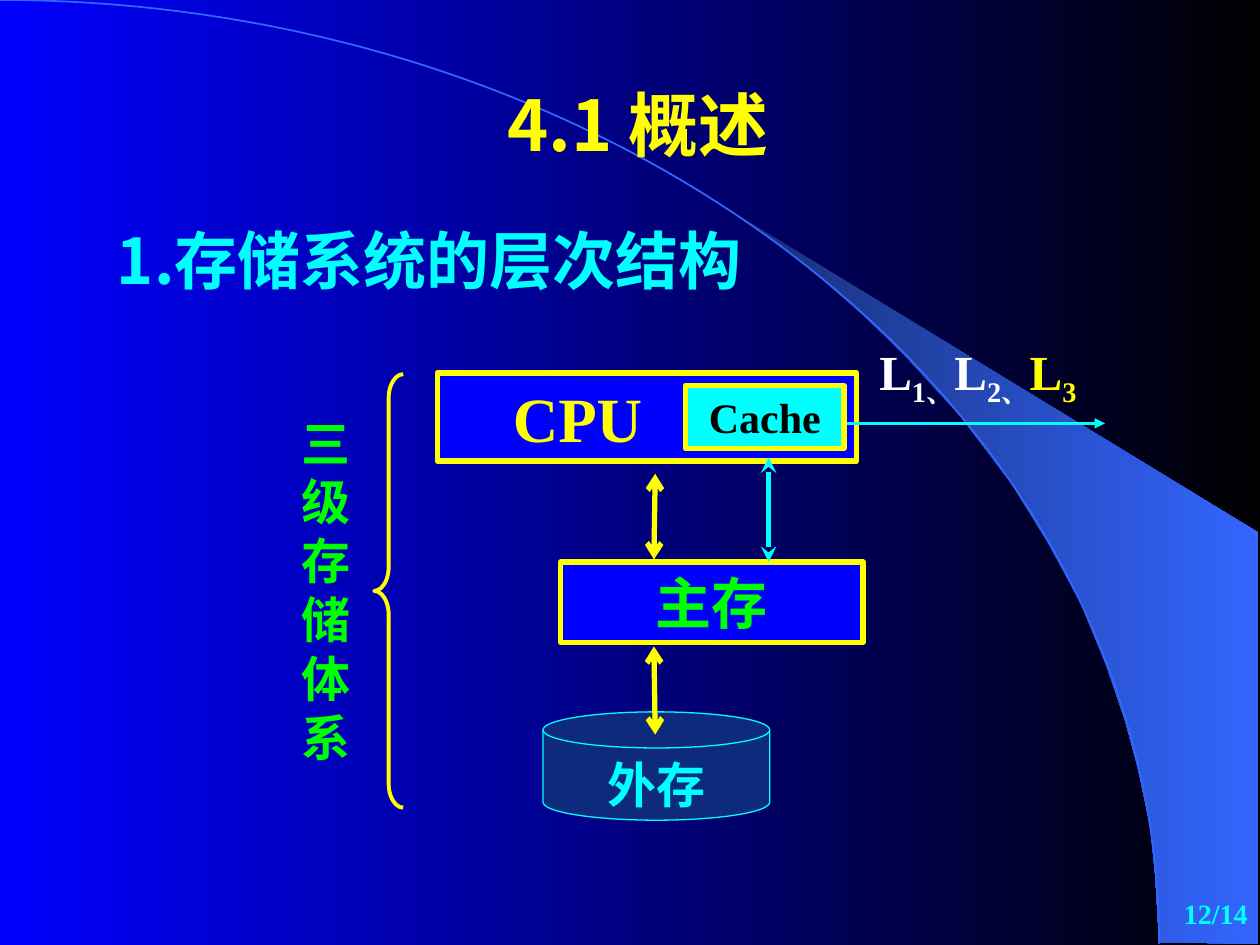
from dataclasses import dataclass
from math import cos, pi, sin

from lxml.etree import SubElement as Sub
from pptx import Presentation
from pptx.dml.color import RGBColor
from pptx.enum.shapes import MSO_CONNECTOR as Link, MSO_SHAPE as Kind
from pptx.enum.text import MSO_ANCHOR as Anchor, MSO_AUTO_SIZE as Auto, PP_ALIGN as Align
from pptx.oxml.ns import qn
from pptx.util import Emu, Pt

COLS, ROWS = 100, 75
CELL = 91440
SANS, SERIF = "Noto Sans CJK SC", "Times New Roman"
BLUE, CYAN, YELLOW, GREEN = "0000FF", "00FFFF", "FFFF00", "00FF00"
WHITE, BLACK, SKY = "FFFFFF", "000000", "3366FF"


@dataclass
class Label:
    area: tuple
    text: str
    size: int
    color: str
    font: str = SANS
    align: Align = Align.CENTER


@dataclass
class Block:
    kind: Kind
    fill: str
    line: str
    width: float
    label: Label
    indent: float = 1
    wrap: bool = True


@dataclass
class Arrow:
    start: tuple
    end: tuple
    color: str
    width: float
    head: str
    tail: str


def grid(*vals: float) -> list:
    return [Emu(round(v * CELL)) for v in vals]


def rgb(code: str) -> RGBColor:
    return RGBColor.from_string(code)


def blend(fill, first: str, last: str) -> None:
    fill.gradient()
    fill.gradient_angle = 0
    for stop, code in zip(fill.gradient_stops, (first, last)):
        stop.color.rgb = rgb(code)


def edge(shape, code: str, width: float) -> None:
    shape.line.color.rgb = rgb(code)
    shape.line.width = Pt(width)


def write(para, text: str, *, size: int, color: str, font: str = SANS, base: int = 0) -> None:
    run = para.add_run()
    run.text = text
    face = run.font
    face.size, face.bold, face.name = Pt(size), True, font
    face.color.rgb = rgb(color)
    props = run._r.get_or_add_rPr()
    Sub(props, qn("a:ea")).set("typeface", font)
    if base:
        props.set("baseline", str(base * 1000))


def frame(shape, align: Align, *, wrap: bool = True, anchor: Anchor = Anchor.TOP, grow: bool = True):
    body = shape.text_frame
    body.word_wrap = wrap
    body.auto_size = Auto.SHAPE_TO_FIT_TEXT if grow else Auto.NONE
    body.vertical_anchor = anchor
    para = body.paragraphs[0]
    para.alignment = align
    return para


def put(shapes, label: Label, **opts) -> None:
    box = shapes.add_textbox(*grid(*label.area))
    para = frame(box, label.align, **opts)
    write(para, label.text, size=label.size, color=label.color, font=label.font)


def build(shapes, block: Block) -> None:
    label = block.label
    shape = shapes.add_shape(block.kind, *grid(*label.area))
    shape.shadow.inherit = False
    shape.fill.solid()
    shape.fill.fore_color.rgb = rgb(block.fill)
    edge(shape, block.line, block.width)
    para = frame(shape, label.align, wrap=block.wrap, grow=block.wrap)
    shape.text_frame.margin_left = grid(block.indent)[0]
    write(para, label.text, size=label.size, color=label.color, font=label.font)


def join(shapes, arrow: Arrow) -> None:
    line = shapes.add_connector(Link.STRAIGHT, *grid(*arrow.start, *arrow.end))
    edge(line, arrow.color, arrow.width)
    stroke = line.line._get_or_add_ln()
    for tag, tip in (("a:headEnd", arrow.head), ("a:tailEnd", arrow.tail)):
        Sub(stroke, qn(tag)).set("type", tip)
    Sub(line._element.spPr, qn("a:effectLst"))


def trace(shapes, points: list, close: bool):
    first, *rest = [grid(*p) for p in points]
    pen = shapes.build_freeform(*first, scale=1.0)
    pen.add_line_segments(rest, close=close)
    shape = pen.convert_to_shape()
    shape.shadow.inherit = False
    return shape


def scene(shapes) -> None:
    rim = [(58.9, 17.3), (62.4, 19.9), (65.3, 22.2), (68.5, 25), (71.6, 28),
           (76.2, 33), (80.3, 38.4), (83.2, 43.1), (85.8, 47.9), (87.8, 52.8),
           (89.3, 57.2), (90.3, 60.9), (91.3, 65.6), (91.7, 69.6), (92, 74.8)]
    beam = trace(shapes, [(99.9, 74.9), (99.9, 42.3), *rim], True)
    blend(beam.fill, "182F76", SKY)
    beam.line.fill.background()
    turns = [pi / 2 * i / 80 for i in range(81)]
    arc = trace(shapes, [(92 * sin(t), 74.9 * (1 - cos(t))) for t in turns], False)
    arc.fill.background()
    edge(arc, SKY, 1)


def levels(shapes) -> None:
    para = frame(shapes.add_textbox(*grid(68.8, 26.6, 19.2, 11.6)), Align.LEFT)
    for sub, color in (("1、", WHITE), ("2、", WHITE), ("3", YELLOW)):
        write(para, "L", size=28, color=color, font=SERIF)
        write(para, sub, size=28, color=color, font=SERIF, base=-25)


def brace(shapes) -> None:
    shape = shapes.add_shape(Kind.LEFT_BRACE, *grid(29.7, 29.7, 2.3, 34.4))
    shape.shadow.inherit = False
    shape.adjustments[0] = 0.83
    shape.fill.background()
    edge(shape, YELLOW, 2.25)


BLOCKS = [
    Block(Kind.FLOWCHART_MAGNETIC_DISK, "0E2A7C", CYAN, 0.75,
          Label((43.1, 56.5, 18, 8.6), "外存", 28, CYAN), wrap=False),
    Block(Kind.RECTANGLE, BLUE, YELLOW, 3,
          Label((34.7, 29.6, 33.3, 7), "CPU", 36, YELLOW, SERIF, Align.LEFT), indent=6),
    Block(Kind.RECTANGLE, CYAN, YELLOW, 3,
          Label((54.4, 30.6, 12.6, 5), "Cache", 24, BLACK, SERIF)),
    Block(Kind.RECTANGLE, BLUE, YELLOW, 3,
          Label((44.5, 44.6, 24, 6.4), "主存", 32, GREEN)),
]
LABELS = [
    Label((31.9, 6, 37.5, 7.7), "4.1 概述", 40, YELLOW),
    Label((8.3, 17.1, 59.1, 7), "1.存储系统的层次结构", 36, CYAN, align=Align.LEFT),
    Label((21.2, 32.3, 9.4, 29), "三级存储体系", 28, GREEN),
]
PAGE = Label((91, 70, 9, 5), "12/14", 16, CYAN, SERIF, Align.RIGHT)
ARROWS = [
    Arrow((52, 37.6), (51.9, 44.4), YELLOW, 3, "arrow", "arrow"),
    Arrow((61, 36.3), (61, 44.6), CYAN, 3, "stealth", "stealth"),
    Arrow((51.9, 51.3), (52, 58.3), YELLOW, 3, "arrow", "arrow"),
    Arrow((67.2, 33.6), (87.7, 33.6), CYAN, 1.5, "none", "triangle"),
]


def main() -> None:
    deck = Presentation()
    deck.slide_width, deck.slide_height = grid(COLS, ROWS)
    slide = deck.slides.add_slide(deck.slide_layouts[6])
    blend(slide.background.fill, BLUE, BLACK)
    shapes = slide.shapes
    scene(shapes)
    for block in BLOCKS:
        build(shapes, block)
    for label in LABELS:
        put(shapes, label)
    put(shapes, PAGE, anchor=Anchor.MIDDLE, grow=False)
    levels(shapes)
    for arrow in ARROWS:
        join(shapes, arrow)
    brace(shapes)
    deck.save("out.pptx")


if __name__ == "__main__":
    main()
